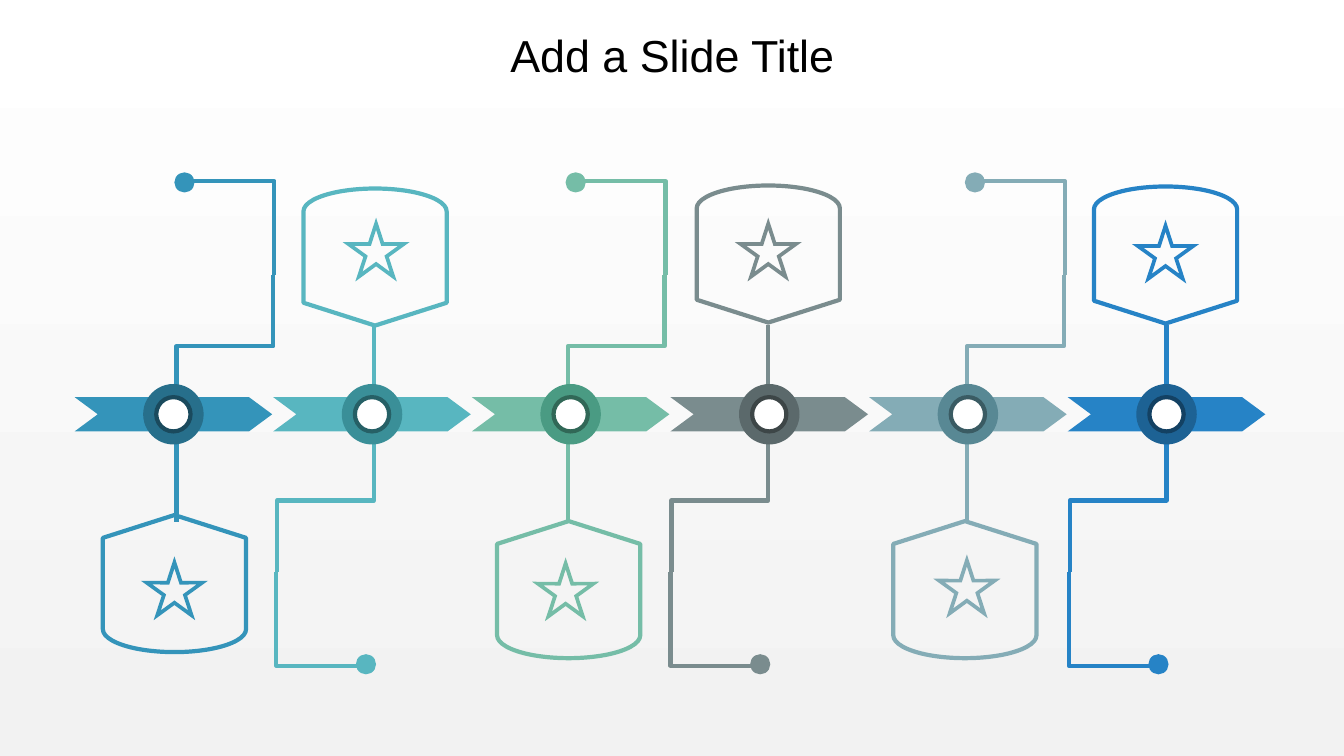
import dataclasses
import math

import lxml.etree
import pptx
import pptx.dml.color
import pptx.enum.shapes
import pptx.enum.text
import pptx.oxml.ns
import pptx.util

Inches = pptx.util.Inches
Shape = pptx.enum.shapes.MSO_SHAPE
COLORS = {
    "white": "FFFFFF", "mist": "F2F2F2", "black": "000000",
    "azure": "3494BA", "azure_hub": "276F8B", "azure_ring": "1A4A5D",
    "teal": "58B6C0", "teal_hub": "3A8F98", "teal_ring": "266066",
    "green": "75BDA7", "green_hub": "4A9B83", "green_ring": "316857",
    "gray": "7A8C8E", "gray_hub": "5B696B", "gray_ring": "3D4647",
    "steel": "84ACB6", "steel_hub": "588894", "steel_ring": "3A5B63",
    "blue": "2683C6", "blue_hub": "1D6294", "blue_ring": "134163",
}
FIRST_LEFT, PITCH = 0.74, 1.97
ARROW_TOP, ARROW_WIDTH, ARROW_HEIGHT, ARROW_NOTCH = 3.94, 1.96, 0.34, 0.23
LEAD_MIDDLE = 4.2


@dataclasses.dataclass
class Stage:
    """One timeline stage: its colour, stem position, and badge and star centres."""
    color: str
    stem: float
    badge: tuple
    star: tuple
    badge_below: bool


STAGES = [
    Stage("azure", 1.75, (1.73, 5.79), (1.73, 5.87), True),
    Stage("teal", 3.71, (3.72, 2.55), (3.73, 2.51), False),
    Stage("green", 5.63, (5.64, 5.85), (5.61, 5.88), True),
    Stage("gray", 7.62, (7.62, 2.52), (7.62, 2.51), False),
    Stage("steel", 9.59, (9.57, 5.85), (9.59, 5.85), True),
    Stage("blue", 11.57, (11.56, 2.53), (11.56, 2.53), False),
]


def rgb(name):
    """Return the named colour."""
    return pptx.dml.color.RGBColor.from_string(COLORS[name])


def paint(shape, fill=None, line=None):
    """Set the fill and the outline of a shape, and drop its shadow."""
    shape.shadow.inherit = False
    if fill:
        shape.fill.solid()
        shape.fill.fore_color.rgb = rgb(fill)
    else:
        shape.fill.background()
    if line:
        shape.line.color.rgb = rgb(line)
        shape.line.width = pptx.util.Pt(3)
    else:
        shape.line.fill.background()


def add_centered(slide, kind, x, y, width, height, fill=None, line=None):
    """Add a preset shape centred on a point."""
    shape = slide.shapes.add_shape(kind, Inches(x - width / 2), Inches(y - height / 2),
                                   Inches(width), Inches(height))
    paint(shape, fill, line)
    return shape


def add_outline(slide, contours, fill):
    """Add a filled freeform made of closed contours."""
    contours = [[(Inches(x), Inches(y)) for x, y in points] for points in contours]
    builder = slide.shapes.build_freeform(*contours[0][0])
    for number, points in enumerate(contours):
        if number:
            builder.move_to(*points[0])
        builder.add_line_segments(points[1:], close=True)
    paint(builder.convert_to_shape(), fill)


def add_bend(slide, x, y, run, rise, rotation, bend, color):
    """Add a turned elbow connector centred on a point."""
    connector = slide.shapes.add_connector(
        pptx.enum.shapes.MSO_CONNECTOR.ELBOW, Inches(x - run / 2), Inches(y - rise / 2),
        Inches(x + run / 2), Inches(y + rise / 2))
    connector.line.color.rgb = rgb(color)
    connector.line.width = pptx.util.Pt(3)
    qn = pptx.oxml.ns.qn
    properties = connector._element.spPr
    properties.find(qn("a:xfrm")).set("rot", str(rotation * 60000))
    guides = properties.find(qn("a:prstGeom")).find(qn("a:avLst"))
    lxml.etree.SubElement(guides, qn("a:gd"), name="adj1", fmla=f"val {round(bend * 100000)}")
    lxml.etree.SubElement(properties, qn("a:effectLst"))


def add_lead(slide, stage):
    """Draw the stepped line from the badge to its end dot."""
    side = 1 if stage.badge_below else -1
    add_bend(slide, stage.stem + side * 0.48, LEAD_MIDDLE - side * 0.25,
             side * 2.45, side * 0.96, 90, 0.29, stage.color)
    add_bend(slide, stage.stem + side * 0.56, LEAD_MIDDLE - side * 1.93,
             -side * 0.92, side * 0.82, 270, -0.015, stage.color)
    add_centered(slide, Shape.OVAL, stage.stem + side * 0.08, LEAD_MIDDLE - side * 2.39,
                 0.2, 0.2, stage.color)


def add_arrow(slide, left, top, width, height, color):
    """Draw a notched arrow with its ringed hub in the given box."""
    right, bottom, middle = left + width, top + height, top + height / 2
    shoulder = right - ARROW_NOTCH
    add_outline(slide, [[(left, top), (shoulder, top), (right, middle), (shoulder, bottom),
                         (left, bottom), (left + ARROW_NOTCH, middle)]], color)
    hub = left + width / 2
    add_centered(slide, Shape.OVAL, hub, middle, 0.6, 0.6, f"{color}_hub")
    add_centered(slide, Shape.OVAL, hub, middle, 0.34, 0.34, "white", f"{color}_ring")


def star_points(x, y, radius):
    """Return the ten corners of a five-pointed star."""
    corners = []
    for number in range(10):
        reach = radius * (0.38 if number % 2 else 1)
        angle = number * math.pi / 5
        corners.append((x + reach * math.sin(angle), y - reach * math.cos(angle)))
    return corners


def add_badge(slide, stage):
    """Draw the badge outline and the hollow star inside it."""
    badge = add_centered(slide, Shape.FLOWCHART_DISPLAY, *stage.badge, 1.36, 1.42,
                         line=stage.color)
    badge.rotation = 90 if stage.badge_below else 270
    rim, hollow = (star_points(*stage.star, radius) for radius in (0.35, 0.23))
    add_outline(slide, [rim, hollow[::-1]], stage.color)


def add_title(slide, left, top, width, height):
    """Place and format the slide title."""
    title = slide.shapes.title
    title.left, title.top = Inches(left), Inches(top)
    title.width, title.height = Inches(width), Inches(height)
    title.text_frame.text = "Add a Slide Title"
    title.text_frame.vertical_anchor = pptx.enum.text.MSO_ANCHOR.MIDDLE
    paragraph = title.text_frame.paragraphs[0]
    paragraph.alignment = pptx.enum.text.PP_ALIGN.CENTER
    paragraph.line_spacing = 0.9
    font = paragraph.runs[0].font
    font.name, font.size = "Arial", pptx.util.Pt(32)
    font.color.rgb = rgb("black")


def add_background(slide):
    """Shade the slide from white at the top to light gray at the bottom."""
    fill = slide.background.fill
    fill.gradient()
    fill.gradient_angle = 270
    for stop, name in zip(fill.gradient_stops, ("white", "mist")):
        stop.color.rgb = rgb(name)


def main():
    """Build the timeline slide and save it."""
    presentation = pptx.Presentation()
    presentation.slide_width, presentation.slide_height = Inches(13.33), Inches(7.5)
    slide = presentation.slides.add_slide(presentation.slide_layouts[5])
    add_background(slide)
    add_title(slide, 0.92, 0.26, 11.5, 0.64)
    for number, stage in enumerate(STAGES):
        add_lead(slide, stage)
        add_arrow(slide, FIRST_LEFT + number * PITCH, ARROW_TOP, ARROW_WIDTH, ARROW_HEIGHT,
                  stage.color)
        add_badge(slide, stage)
    presentation.save("out.pptx")


if __name__ == "__main__":
    main()
